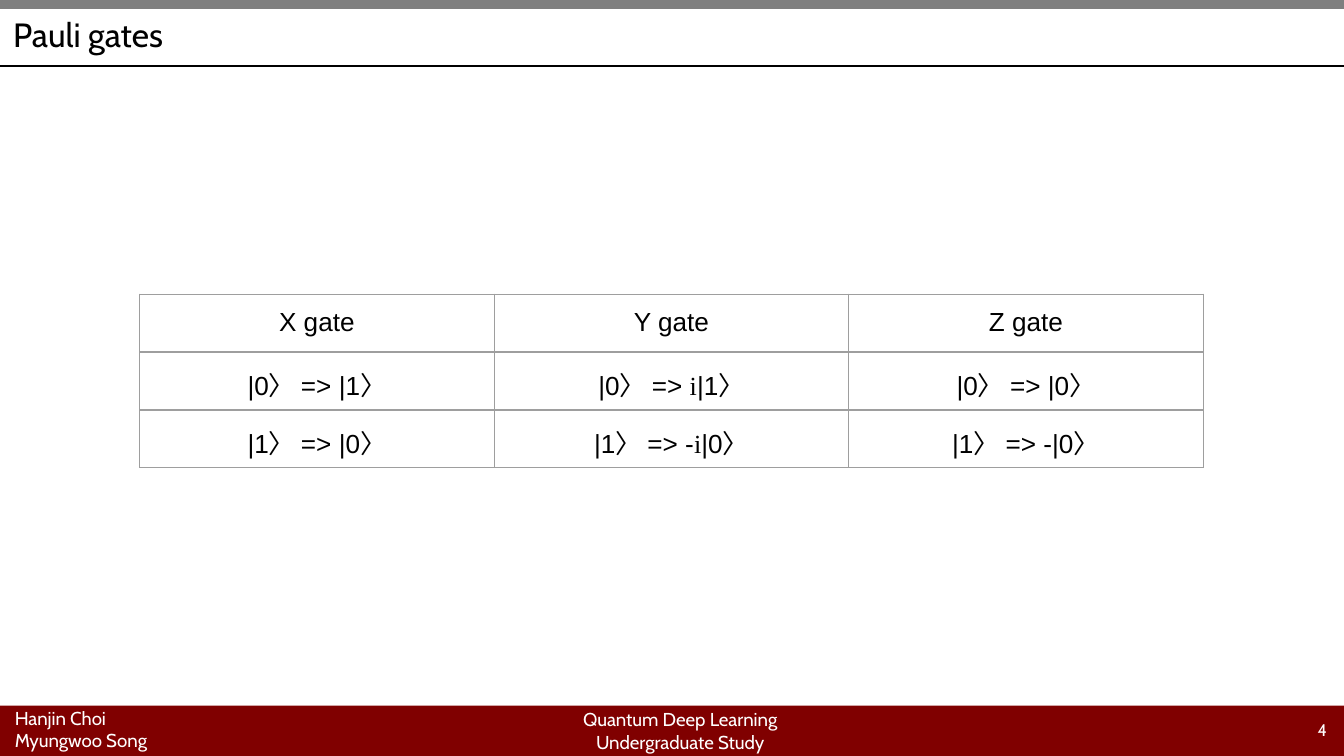
from dataclasses import dataclass

from lxml.etree import SubElement
from pptx import Presentation
from pptx.dml.color import RGBColor
from pptx.enum.shapes import MSO_CONNECTOR as Connector, MSO_SHAPE as Shape
from pptx.enum.text import MSO_ANCHOR as Anchor, PP_ALIGN as Align
from pptx.oxml.ns import qn
from pptx.util import Cm, Pt


@dataclass(frozen=True)
class Theme:
    black: str = "000000"
    white: str = "FFFFFF"
    maroon: str = "800000"
    gray: str = "7F7F7F"
    border: str = "9E9E9E"
    heading_font: str = "Cabin"
    table_font: str = "Arial"
    math_font: str = "Times New Roman"
    title_size: float = 18
    table_size: float = 14
    footer_size: float = 10
    number_size: float = 9
    line_width: float = 0.75


def write_text(frame, text, *, font, size, color, align=Align.LEFT,
               spacing=None, math_font=None):
    """Fill a text frame, one paragraph per line; math_font sets the letter i."""
    for index, line in enumerate(text.split("\n")):
        paragraph = frame.paragraphs[0] if index == 0 else frame.add_paragraph()
        paragraph.alignment = align
        if spacing:
            paragraph.line_spacing = spacing
        for part in line.partition("i") if math_font else [line]:
            if not part:
                continue
            run = paragraph.add_run()
            run.text = part
            run.font.name = math_font if math_font and part == "i" else font
            run.font.size = Pt(size)
            run.font.color.rgb = RGBColor.from_string(color)


class SlideBuilder:
    def __init__(self, slide, theme):
        self.slide = slide
        self.theme = theme

    def bar(self, left, top, width, height, color, outlined=False):
        shape = self.slide.shapes.add_shape(
            Shape.RECTANGLE, Cm(left), Cm(top), Cm(width), Cm(height))
        shape.shadow.inherit = False
        shape.fill.solid()
        shape.fill.fore_color.rgb = RGBColor.from_string(color)
        if outlined:
            shape.line.color.rgb = RGBColor.from_string(color)
            shape.line.width = Pt(1)
        else:
            shape.line.fill.background()

    def rule(self, left, right, y):
        line = self.slide.shapes.add_connector(
            Connector.STRAIGHT, Cm(left), Cm(y), Cm(right), Cm(y))
        line.line.color.rgb = RGBColor.from_string(self.theme.black)
        line.line.width = Pt(self.theme.line_width)
        SubElement(line._element.spPr, qn("a:effectLst"))

    def text(self, text, left, top, width, height, anchor=Anchor.TOP, **style):
        box = self.slide.shapes.add_textbox(Cm(left), Cm(top), Cm(width), Cm(height))
        frame = box.text_frame
        frame.word_wrap = True
        frame.vertical_anchor = anchor
        write_text(frame, text, font=self.theme.heading_font, **style)

    def table(self, rows, left, top, column_width, row_height):
        columns = len(rows[0])
        table = self.slide.shapes.add_table(
            len(rows), columns, Cm(left), Cm(top),
            Cm(column_width * columns), Cm(row_height * len(rows))).table
        table.first_row = table.horz_banding = False
        for column in table.columns:
            column.width = Cm(column_width)
        for row, texts in zip(table.rows, rows):
            row.height = Cm(row_height)
            for cell, text in zip(row.cells, texts):
                self.cell(cell, text)

    def cell(self, cell, text):
        theme = self.theme
        cell.margin_left = cell.margin_right = Cm(0.25)
        cell.margin_top = cell.margin_bottom = Cm(0.25)
        properties = cell._tc.get_or_add_tcPr()
        for side in ("lnL", "lnR", "lnT", "lnB"):
            line = SubElement(properties, qn(f"a:{side}"), w=str(Pt(theme.line_width)))
            fill = SubElement(line, qn("a:solidFill"))
            SubElement(fill, qn("a:srgbClr"), val=theme.border)
        cell.fill.background()
        write_text(cell.text_frame, text, font=theme.table_font,
                   size=theme.table_size, color=theme.black,
                   align=Align.CENTER, math_font=theme.math_font)


def main():
    theme = Theme()
    width, height = 25.4, 14.29
    presentation = Presentation()
    presentation.slide_width, presentation.slide_height = Cm(width), Cm(height)
    slide = presentation.slides.add_slide(presentation.slide_layouts[6])
    builder = SlideBuilder(slide, theme)

    footer_height = 0.95
    builder.bar(0, height - footer_height, width, footer_height, theme.maroon)
    builder.bar(0, 0, width, 0.15, theme.gray, outlined=True)
    builder.rule(0, width, 1.25)

    footer = {"size": theme.footer_size, "color": theme.white}
    builder.text("Hanjin Choi\nMyungwoo Song", 0.03, 13.23, 4.85, 1.12, **footer)
    builder.text("Quantum Deep Learning Undergraduate Study",
                 10.06, 13.26, 5.59, 1.12, align=Align.CENTER, **footer)
    builder.text("Pauli gates", 0, 0.15, 22.23, 1.1, anchor=Anchor.MIDDLE,
                 size=theme.title_size, color=theme.black, spacing=0.9)
    builder.text("4", 19.61, 13.41, 5.72, 0.76, anchor=Anchor.MIDDLE,
                 size=theme.number_size, color=theme.white, align=Align.RIGHT)

    gates = [
        ("X gate", "Y gate", "Z gate"),
        ("|0〉 => |1〉", "|0〉 => i|1〉", "|0〉 => |0〉"),
        ("|1〉 => |0〉", "|1〉 => -i|0〉", "|1〉 => -|0〉"),
    ]
    builder.table(gates, left=2.64, top=5.56, column_width=6.7, row_height=1.07)
    presentation.save("out.pptx")


if __name__ == "__main__":
    main()
